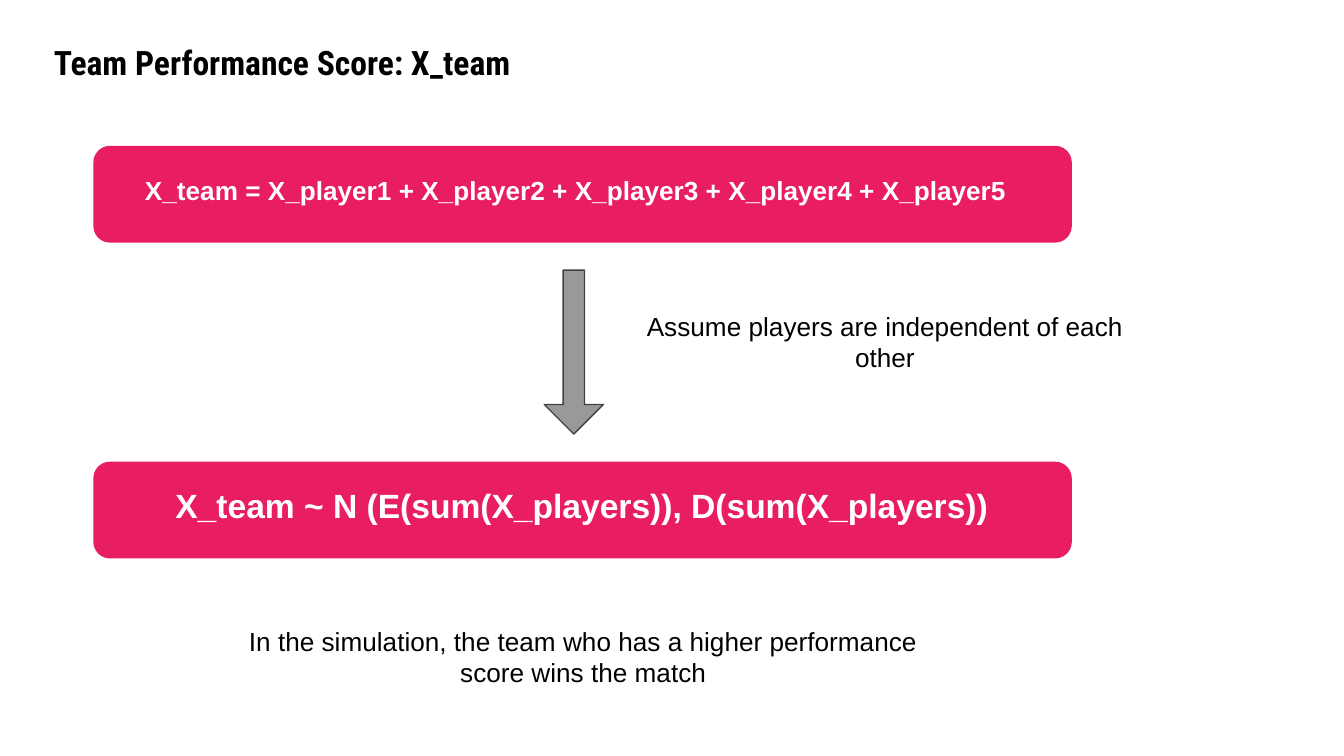
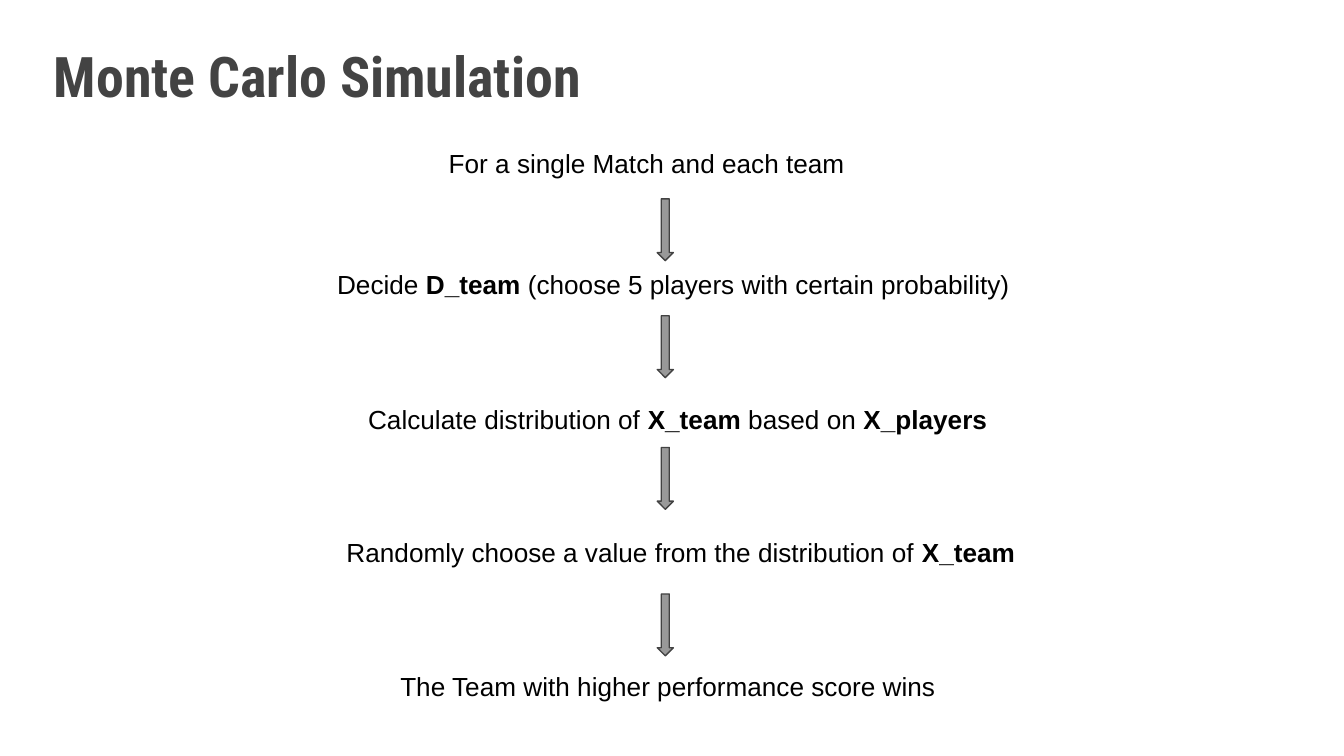
from dataclasses import dataclass

from pptx import Presentation
from pptx.dml.color import RGBColor
from pptx.enum.shapes import MSO_SHAPE
from pptx.enum.text import MSO_ANCHOR, MSO_AUTO_SIZE, PP_ALIGN
from pptx.shapes.autoshape import Shape
from pptx.slide import Slide
from pptx.util import Emu, Pt

PX = 9144  # 100 px to the inch
WIDE = 1000 * PX
HIGH = WIDE * 9 // 16
COLORS = {
    "black": "000000",
    "white": "FFFFFF",
    "pink": "E91D63",
    "gray": "999999",
    "dark": "434343",
    "edge": "424242",
}
HEAD_FONT = "Roboto Condensed"
BODY_FONT = "Arial"


@dataclass(frozen=True)
class Box:
    left: int
    top: int
    width: int
    height: int

    def emu(self) -> tuple[Emu, Emu, Emu, Emu]:
        return (Emu(self.left * PX), Emu(self.top * PX),
                Emu(self.width * PX), Emu(self.height * PX))


@dataclass(frozen=True)
class Label:
    """Text in a box; parts between asterisks are bold."""
    box: Box
    text: str
    size: int = 14
    color: str = "black"
    bold: bool = False
    align: PP_ALIGN = PP_ALIGN.CENTER
    font: str = BODY_FONT


def rgb(name: str) -> RGBColor:
    return RGBColor.from_string(COLORS[name])


def write(shape: Shape, label: Label) -> None:
    frame = shape.text_frame
    frame.word_wrap = True
    frame.auto_size = MSO_AUTO_SIZE.NONE
    frame.vertical_anchor = MSO_ANCHOR.TOP
    frame.margin_left = frame.margin_right = Emu(10 * PX)
    frame.margin_top = frame.margin_bottom = Emu(10 * PX)
    para = frame.paragraphs[0]
    para.alignment = label.align
    para.font.name = label.font
    para.font.size = Pt(label.size)
    para.font.bold = label.bold
    para.font.color.rgb = rgb(label.color)
    for i, part in enumerate(label.text.split("*")):
        if part:
            run = para.add_run()
            run.text = part
            if i % 2:
                run.font.bold = True


def add_label(slide: Slide, label: Label) -> None:
    write(slide.shapes.add_textbox(*label.box.emu()), label)


def add_block(slide: Slide, kind: MSO_SHAPE, box: Box,
              fill: str, line: str) -> Shape:
    shape = slide.shapes.add_shape(kind, *box.emu())
    shape.shadow.inherit = False
    shape.fill.solid()
    shape.fill.fore_color.rgb = rgb(fill)
    shape.line.color.rgb = rgb(line)
    shape.line.width = Pt(0.75)
    return shape


def add_bar(slide: Slide, top: int) -> None:
    add_block(slide, MSO_SHAPE.FLOWCHART_ALTERNATE_PROCESS,
              Box(70, top, 727, 71), "pink", "pink")


def add_arrow(slide: Slide, box: Box, stem: float = 0.5) -> None:
    arrow = add_block(slide, MSO_SHAPE.DOWN_ARROW, box, "gray", "edge")
    arrow.adjustments[0] = stem
    arrow.adjustments[1] = 0.5


def add_slide(deck: Presentation, text: str, box: Box,
              size: int, color: str) -> Slide:
    slide = deck.slides.add_slide(deck.slide_layouts[5])
    title = slide.shapes.title
    title.left, title.top, title.width, title.height = box.emu()
    write(title, Label(box, text, size, color, True, PP_ALIGN.LEFT, HEAD_FONT))
    return slide


def add_score(deck: Presentation) -> None:
    slide = add_slide(deck, "Team Performance Score: X_team",
                      Box(30, 21, 463, 42), 18, "black")
    for top in (109, 344):
        add_bar(slide, top)
    add_arrow(slide, Box(405, 201, 44, 122), 0.36)
    labels = (
        Label(Box(65, 120, 727, 48),
              "X_team = X_player1 + X_player2 + X_player3 + X_player4 + X_player5",
              color="white", bold=True),
        Label(Box(89, 351, 688, 55),
              "X_team ~ N (E(sum(X_players)), D(sum(X_players))",
              18, "white", True),
        Label(Box(461, 221, 395, 71),
              "Assume players are independent of each other"),
        Label(Box(163, 455, 542, 65),
              "In the simulation, the team who has a higher performance "
              "score wins the match"),
    )
    for label in labels:
        add_label(slide, label)


def add_steps(deck: Presentation) -> None:
    slide = add_slide(deck, "Monte Carlo Simulation",
                      Box(30, 21, 639, 62), 30, "dark")
    steps = (
        (Box(324, 100, 321, 36), "For a single Match and each team"),
        (Box(241, 190, 533, 46),
         "Decide *D_team* (choose 5 players with certain probability)"),
        (Box(264, 290, 505, 36),
         "Calculate distribution of *X_team* based on *X_players*"),
        (Box(248, 389, 527, 46),
         "Randomly choose a value from the distribution of *X_team*"),
        (Box(288, 489, 448, 42),
         "The Team with higher performance score wins"),
    )
    for box, text in steps:
        add_label(slide, Label(box, text, align=PP_ALIGN.LEFT))
    for top in (148, 235, 333, 442):
        add_arrow(slide, Box(489, top, 12, 46))


def main() -> None:
    deck = Presentation()
    deck.slide_width = Emu(WIDE)
    deck.slide_height = Emu(HIGH)
    add_score(deck)
    add_steps(deck)
    deck.save("out.pptx")


if __name__ == "__main__":
    main()
